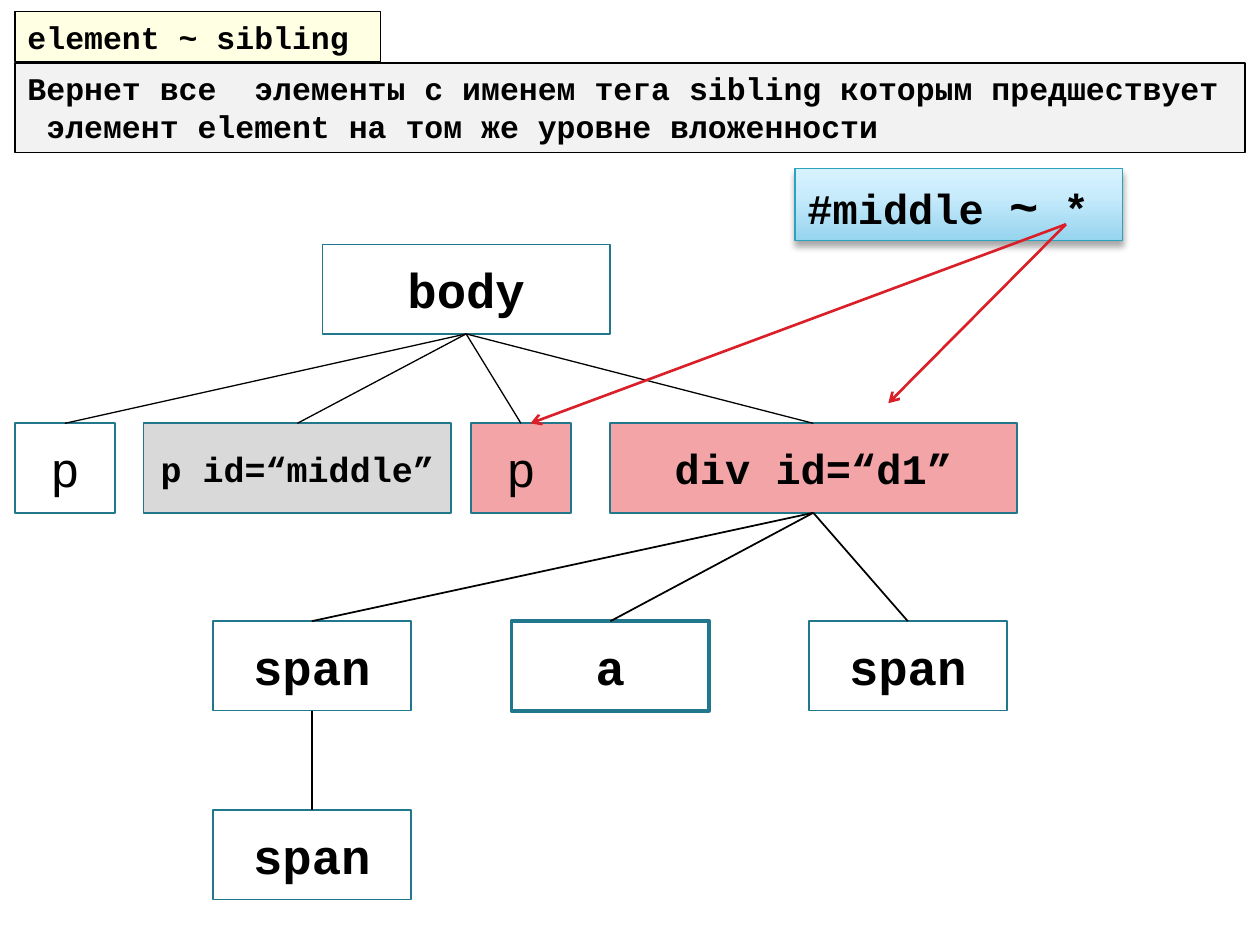
import copy

import lxml.etree
import pptx
import pptx.dml.color
import pptx.enum.shapes
import pptx.enum.text
import pptx.oxml.ns
import pptx.util
from pptx.util import Inches

RGBColor = pptx.dml.color.RGBColor
BLACK = RGBColor(0x00, 0x00, 0x00)
TEAL = RGBColor(0x21, 0x78, 0x8D)
YELLOW = RGBColor(0xFF, 0xFF, 0x00)
PALE_GRAY = RGBColor(0xF2, 0xF2, 0xF2)
GRAY = RGBColor(0xD9, 0xD9, 0xD9)
PINK = RGBColor(0xF2, 0xA4, 0xA7)
RED = RGBColor(0xDA, 0x1F, 0x28)
SKY = RGBColor(0x2D, 0xA2, 0xBF)
SKY_STOPS = [
    (0, RGBColor(0x96, 0xD4, 0xEE)),
    (0.65, RGBColor(0xC9, 0xEC, 0xFC)),
    (1, RGBColor(0xD7, 0xF2, 0xFF)),
]
FONT = "Courier New"
NODE_HEIGHT = 0.71
BOTTOM, TOP = 2, 0


def add_element(parent, tag, **attributes):
    """Append a drawing element with the given attributes."""
    return lxml.etree.SubElement(parent, pptx.oxml.ns.qn(tag), attributes)


def add_box(shapes, box, runs, fill=None, line=TEAL, width=1, bold=True, centered=False):
    """Draw a bordered rectangle holding one paragraph of (text, size) runs."""
    shape = shapes.add_shape(
        pptx.enum.shapes.MSO_SHAPE.RECTANGLE, *[Inches(length) for length in box]
    )
    shape.shadow.inherit = False
    if fill is None:
        shape.fill.background()
    else:
        shape.fill.solid()
        shape.fill.fore_color.rgb = fill
    shape.line.color.rgb = line
    shape.line.width = pptx.util.Pt(width)
    frame = shape.text_frame
    frame.word_wrap = True
    paragraph = frame.paragraphs[0]
    if centered:
        frame.vertical_anchor = pptx.enum.text.MSO_ANCHOR.MIDDLE
        paragraph.alignment = pptx.enum.text.PP_ALIGN.CENTER
    else:
        frame.auto_size = pptx.enum.text.MSO_AUTO_SIZE.SHAPE_TO_FIT_TEXT
        frame.vertical_anchor = pptx.enum.text.MSO_ANCHOR.TOP
        paragraph.alignment = pptx.enum.text.PP_ALIGN.LEFT
    for text, size in runs:
        run = paragraph.add_run()
        run.text = text
        run.font.name = FONT
        run.font.size = pptx.util.Pt(size)
        run.font.bold = bold
        run.font.color.rgb = BLACK
    return shape


def add_line(shapes, start, end, color, width):
    """Draw a straight connector without a shadow."""
    connector = shapes.add_connector(
        pptx.enum.shapes.MSO_CONNECTOR.STRAIGHT,
        *[Inches(length) for length in (*start, *end)],
    )
    connector.line.color.rgb = color
    connector.line.width = pptx.util.Pt(width)
    add_element(connector._element.spPr, "a:effectLst")
    return connector


def add_header(slide, left, top, width):
    """Place the selector syntax above its description."""
    syntax = add_box(slide.shapes, (left, top, 2.9, 0.4), [("element ~ sibling", 18)],
                     YELLOW, BLACK, 0.75)
    color = syntax._element.spPr.find(".//" + pptx.oxml.ns.qn("a:srgbClr"))
    add_element(color, "a:alpha", val="11000")
    description = (
        "Вернет все  элементы с именем тега sibling которым предшествует"
        "  элемент element на том же уровне вложенности"
    )
    add_box(slide.shapes, (left, top + 0.41, width, 0.71), [(description, 18)],
            PALE_GRAY, BLACK)


def add_tree(slide, left, top):
    """Draw the document tree and join each parent to its children."""
    group = slide.shapes.add_group_shape()
    # name: x, y, width, text, size, fill, border, bold
    nodes = {
        "first": (0, 1.42, 0.79, "p", 28, None, 1, False),
        "middle": (1.02, 1.42, 2.44, "p id=“middle”", 20, GRAY, 1, True),
        "second": (3.62, 1.42, 0.79, "p", 28, PINK, 1, False),
        "div": (4.72, 1.42, 3.23, "div id=“d1”", 24, PINK, 1, True),
        "body": (2.44, 0, 2.28, "body", 28, None, 1, True),
        "left span": (1.57, 2.99, 1.57, "span", 28, None, 1, True),
        "inner span": (1.57, 4.49, 1.57, "span", 28, None, 1, True),
        "anchor": (3.94, 2.99, 1.57, "a", 28, None, 2.25, True),
        "right span": (6.3, 2.99, 1.57, "span", 28, None, 1, True),
    }
    boxes = {
        name: add_box(group.shapes, (left + x, top + y, width, NODE_HEIGHT),
                      [(text, size)], fill, TEAL, border, bold, centered=True)
        for name, (x, y, width, text, size, fill, border, bold) in nodes.items()
    }
    branches = [
        ("body", ("first", "middle", "second", "div"), 0.75),
        ("div", ("left span", "anchor", "right span"), 1),
        ("left span", ("inner span",), 1),
    ]
    for parent, children, width in branches:
        for child in children:
            connector = add_line(group.shapes, (left, top), (left, top), BLACK, width)
            connector.begin_connect(boxes[parent], BOTTOM)
            connector.end_connect(boxes[child], TOP)


def add_selector(slide, left, top, width, height, targets):
    """Place the example selector with arrows to the elements it matches."""
    shape = add_box(slide.shapes, (left, top, width, height),
                    [("#middle ", 24), ("~", 28), (" *", 24)], line=SKY, width=0.75)
    shape.fill.gradient()
    shape.fill.gradient_angle = 90
    properties = shape._element.spPr
    stop_list = properties.find(".//" + pptx.oxml.ns.qn("a:gsLst"))
    stop_list.append(copy.deepcopy(stop_list[0]))
    for stop, (position, color) in zip(shape.fill.gradient_stops, SKY_STOPS):
        stop.position = position
        stop.color.rgb = color
    effects = properties.find(pptx.oxml.ns.qn("a:effectLst"))
    shadow = add_element(effects, "a:outerShdw", blurRad="50800", dist="38100",
                         dir="5400000", rotWithShape="0")
    color = add_element(shadow, "a:srgbClr", val="000000")
    add_element(color, "a:alpha", val="35000")
    for target in targets:
        arrow = add_line(slide.shapes, (left + 2.15, top + 0.44), target, RED, 1.5)
        add_element(arrow.line._get_or_add_ln(), "a:tailEnd", type="arrow")


def main():
    """Build and save the sibling selector slide."""
    presentation = pptx.Presentation()
    presentation.slide_width = Inches(10)
    presentation.slide_height = Inches(7.5)
    slide = presentation.slides.add_slide(presentation.slide_layouts[6])
    add_header(slide, 0.12, 0.09, 9.76)
    add_tree(slide, 0.12, 1.94)
    add_selector(slide, 6.31, 1.34, 2.6, 0.57, [(4.21, 3.36), (7.05, 3.2)])
    presentation.save("out.pptx")


if __name__ == "__main__":
    main()
